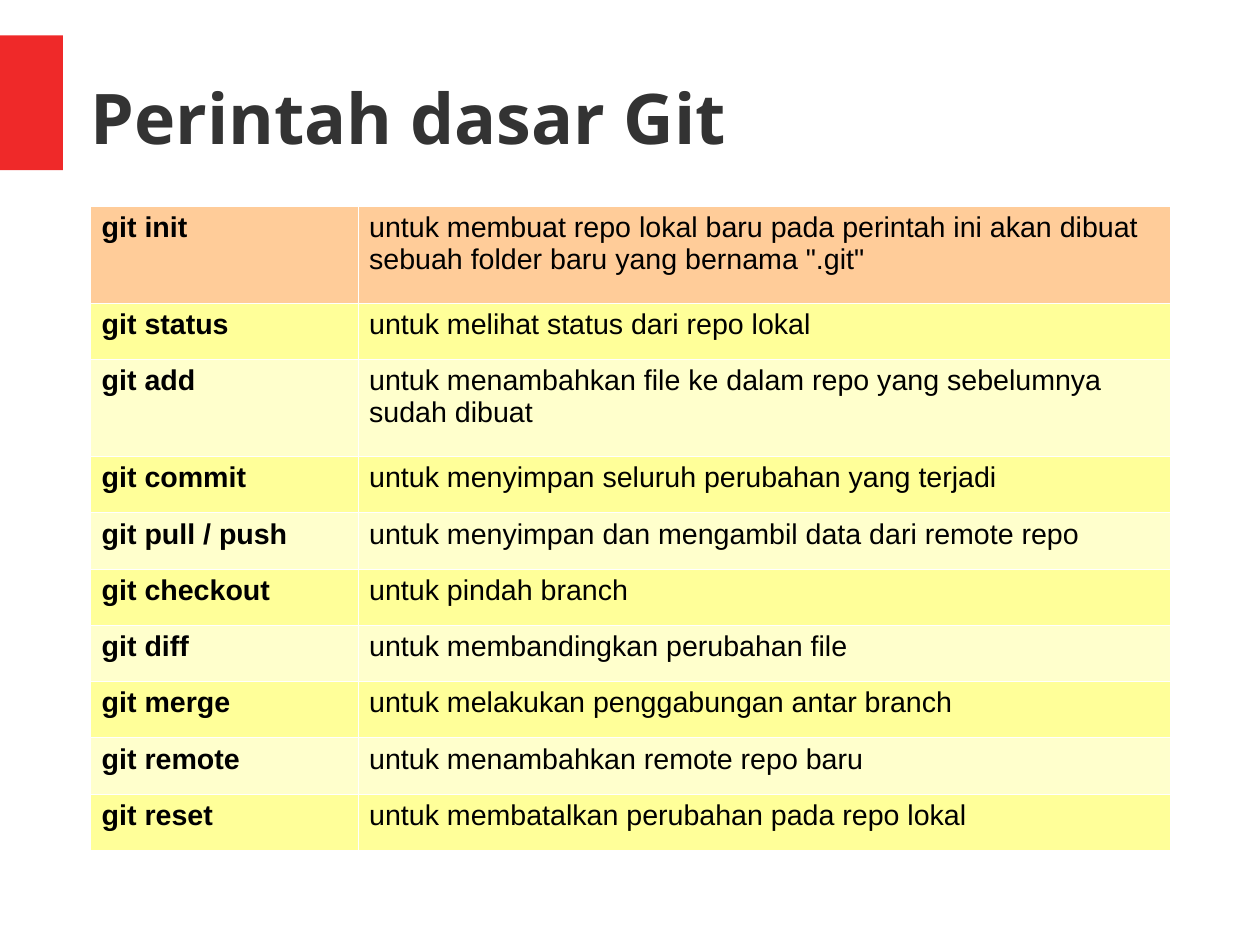
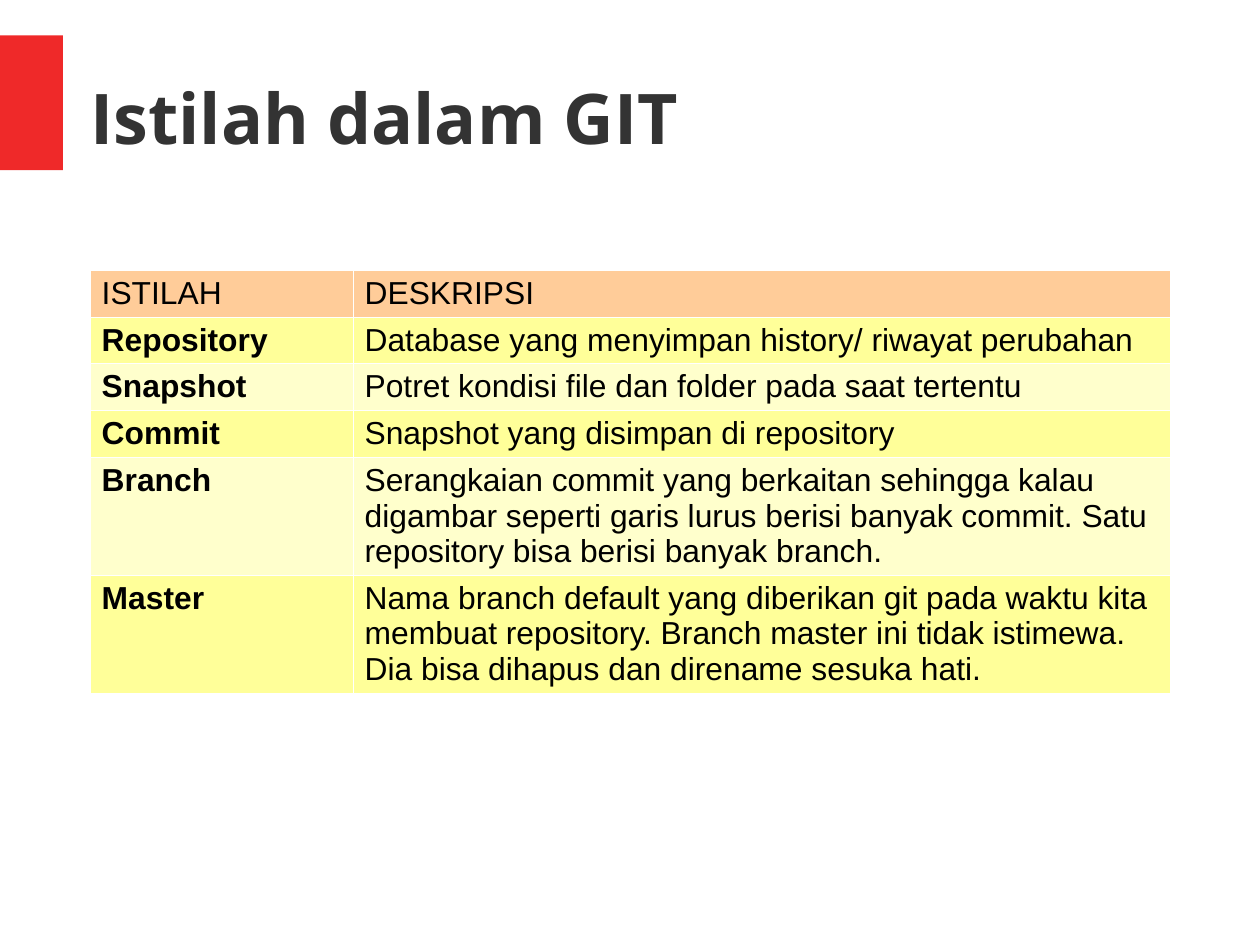
import pptx
import pptx.dml.color
import pptx.enum.shapes
import pptx.enum.text
import pptx.oxml
import pptx.oxml.ns
import pptx.util
from lxml import etree

Inches = pptx.util.Inches
RGBColor = pptx.dml.color.RGBColor

# Shared look
SLIDE_WIDTH, SLIDE_HEIGHT = pptx.util.Cm(28), pptx.util.Cm(21)
RED = RGBColor(0xEF, 0x29, 0x29)
CHARCOAL = RGBColor(0x33, 0x33, 0x33)
BLACK = RGBColor(0x00, 0x00, 0x00)
WHITE = RGBColor(0xFF, 0xFF, 0xFF)
ORANGE = RGBColor(0xFF, 0xCC, 0x99)
YELLOW = RGBColor(0xFF, 0xFF, 0x99)
CREAM = RGBColor(0xFF, 0xFF, 0xCC)
TITLE_FONT, BODY_FONT = "Open Sans", "Arial"
BORDER_WIDTH = pptx.util.Pt(0.06)
TITLE_ONLY = 5

# Boxes: left, top, width, height
BAND_BOX = (0, 0.31, 0.55, 1.18)
TITLE_BOX = (0.79, 0.33, 9.68, 1.38)
COMMANDS_BOX = (0.79, 1.8, 9.45, 5.64)
TERMS_BOX = (0.79, 2.36, 9.45, 3.7)

COMMANDS = [
    ("git init", "untuk membuat repo lokal baru pada perintah ini akan dibuat "
                 "sebuah folder baru yang bernama \".git\""),
    ("git status", "untuk melihat status dari repo lokal"),
    ("git add", "untuk menambahkan file ke dalam repo yang sebelumnya sudah dibuat"),
    ("git commit", "untuk menyimpan seluruh perubahan yang terjadi"),
    ("git pull / push", "untuk menyimpan dan mengambil data dari remote repo"),
    ("git checkout", "untuk pindah branch"),
    ("git diff", "untuk membandingkan perubahan file"),
    ("git merge", "untuk melakukan penggabungan antar branch"),
    ("git remote", "untuk menambahkan remote repo baru"),
    ("git reset", "untuk membatalkan perubahan pada repo lokal"),
]
TERMS = [
    ("ISTILAH", "DESKRIPSI"),
    ("Repository", "Database yang menyimpan history/ riwayat perubahan"),
    ("Snapshot", "Potret kondisi file dan folder pada saat tertentu"),
    ("Commit", "Snapshot yang disimpan di repository"),
    ("Branch", "Serangkaian commit yang berkaitan sehingga kalau digambar seperti "
               "garis lurus berisi banyak commit. Satu repository bisa berisi "
               "banyak branch."),
    ("Master", "Nama branch default yang diberikan git pada waktu kita membuat "
               "repository. Branch master ini tidak istimewa. Dia bisa dihapus "
               "dan direname sesuka hati."),
]


def style_font(font, name, size, color, bold):
    font.name, font.size, font.bold = name, pptx.util.Pt(size), bold
    font.color.rgb = color


def add_band(slide, box):
    """Red band at the left edge."""
    band = slide.shapes.add_shape(
        pptx.enum.shapes.MSO_SHAPE.RECTANGLE, *map(Inches, box))
    band.shadow.inherit = False
    band.fill.solid()
    band.fill.fore_color.rgb = RED
    band.line.fill.background()


def place_title(slide, box, text):
    title = slide.shapes.title
    title.left, title.top, title.width, title.height = map(Inches, box)
    frame = title.text_frame
    frame.margin_left = frame.margin_top = frame.margin_right = frame.margin_bottom = 0
    frame.vertical_anchor = pptx.enum.text.MSO_ANCHOR.MIDDLE
    frame.auto_size = pptx.enum.text.MSO_AUTO_SIZE.NONE
    frame.text = text
    heading = frame.paragraphs[0]
    heading.alignment = pptx.enum.text.PP_ALIGN.LEFT
    style_font(heading.font, TITLE_FONT, 44, CHARCOAL, True)


def set_borders(cell):
    """Thin white line on all four sides; borders must precede the fill."""
    qn = pptx.oxml.ns.qn
    properties = cell._tc.get_or_add_tcPr()
    for position, side in enumerate(("a:lnL", "a:lnR", "a:lnT", "a:lnB")):
        line = etree.Element(qn(side), w=str(BORDER_WIDTH))
        fill = etree.SubElement(line, qn("a:solidFill"))
        etree.SubElement(fill, qn("a:srgbClr"), val=str(WHITE))
        properties.insert(position, line)


def add_definitions(slide, box, rows, tall_rows, key_width, size, bold_top):
    """Key and explanation columns; tall_rows maps a row to its height,
    and the other rows share the rest of the box equally."""
    width, height = box[2:]
    short = (height - sum(tall_rows.values())) / (len(rows) - len(tall_rows))
    table = slide.shapes.add_table(len(rows), 2, *map(Inches, box)).table
    table.columns[0].width = Inches(key_width)
    table.columns[1].width = Inches(width - key_width)
    for r, texts in enumerate(rows):
        table.rows[r].height = Inches(tall_rows.get(r, short))
        row_color = ORANGE if r == 0 else (CREAM, YELLOW)[r % 2]
        for c, text in enumerate(texts):
            cell = table.cell(r, c)
            cell.text = text
            cell.fill.solid()
            cell.fill.fore_color.rgb = row_color
            set_borders(cell)
            is_key = c == 0 and (r > 0 or bold_top)
            style_font(cell.text_frame.paragraphs[0].font,
                       BODY_FONT, size, BLACK, is_key)


def add_table_slide(deck, title, box, rows, **table_style):
    slide = deck.slides.add_slide(deck.slide_layouts[TITLE_ONLY])
    add_band(slide, BAND_BOX)
    place_title(slide, TITLE_BOX, title)
    add_definitions(slide, box, rows, **table_style)


def main():
    deck = pptx.Presentation()
    deck.slide_width, deck.slide_height = SLIDE_WIDTH, SLIDE_HEIGHT

    # Basic commands
    add_table_slide(deck, "Perintah dasar Git", COMMANDS_BOX, COMMANDS,
                    tall_rows={0: 0.85, 2: 0.85},
                    key_width=2.34, size=18, bold_top=True)

    # Glossary
    add_table_slide(deck, "Istilah dalam GIT", TERMS_BOX, TERMS,
                    tall_rows={4: 1.03, 5: 1.03},
                    key_width=2.3, size=20, bold_top=False)

    deck.save("out.pptx")


if __name__ == "__main__":
    main()
